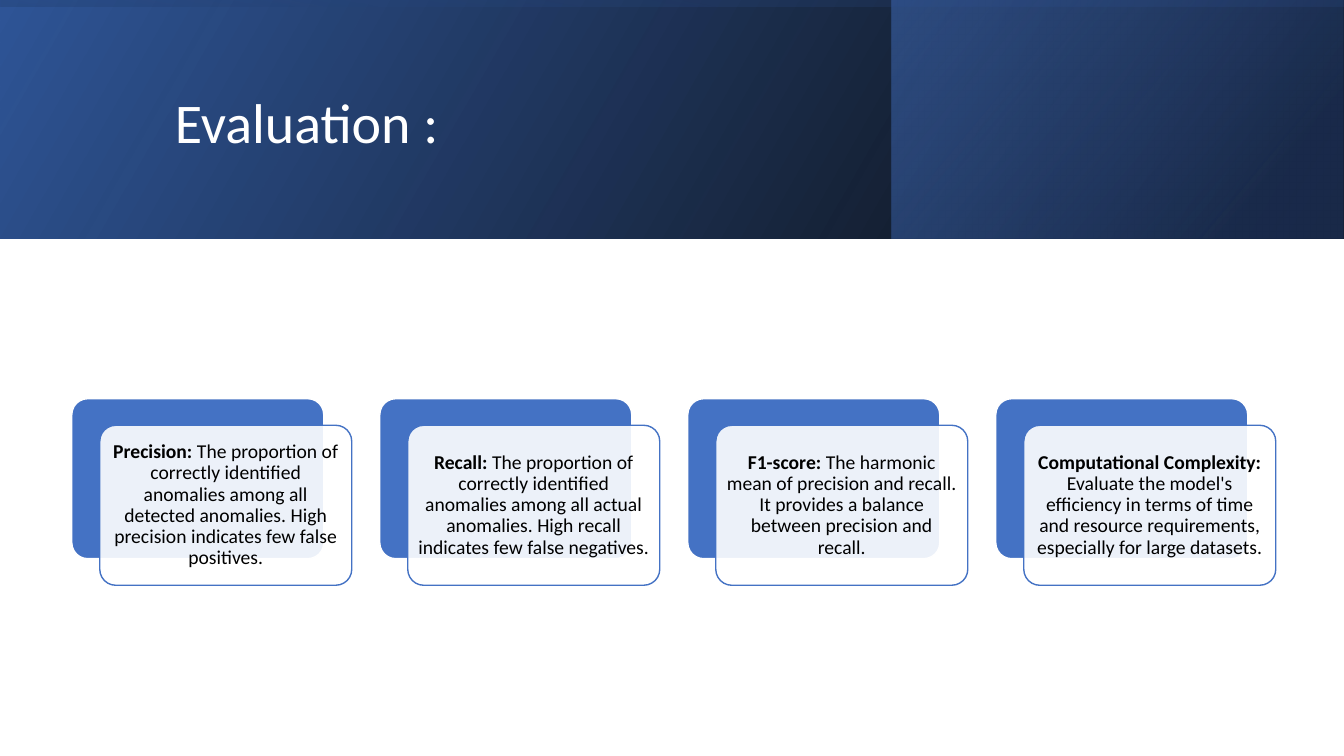
import pptx
import pptx.util
import pptx.dml.color
import pptx.enum.shapes
import pptx.enum.text
import pptx.oxml.ns
import lxml.etree

Pt = pptx.util.Pt
SHAPE = pptx.enum.shapes.MSO_SHAPE
ALIGN = pptx.enum.text.PP_ALIGN
MIDDLE = pptx.enum.text.MSO_ANCHOR.MIDDLE
qn = pptx.oxml.ns.qn

TITLE = "Evaluation :"
METRICS = [
    ("Precision: ", "The proportion of correctly identified anomalies among all detected anomalies. High precision indicates few false positives."),
    ("Recall: ", "The proportion of correctly identified anomalies among all actual anomalies. High recall indicates few false negatives."),
    ("F1-score: ", "The harmonic mean of precision and recall. It provides a balance between precision and recall."),
    ("Computational Complexity: ", "Evaluate the model's efficiency in terms of time and resource requirements, especially for large datasets."),
]
COLORS = {"white": "FFFFFF", "black": "000000", "blue": "4472C4",
          "deep": "2F5597", "navy": "203864"}
FONT = "Calibri"

SLIDE_W, SLIDE_H = 960, 540
BAND_H = 170.6
SIDE_X, SIDE_W = 636.8, 322.8
MID = (SLIDE_W - BAND_H) / 2
BANDS = [
    ((0, 0, SLIDE_W, BAND_H), 0, 330, [(0, "black", 96), (100, "deep", 100)]),
    ((SIDE_X, 0, SIDE_W, BAND_H), 0, 320, [(19, "navy", 68), (100, "blue", 48)]),
    ((MID, -MID, BAND_H, SLIDE_W), 270, 350, [(23, "deep", 16), (99, "black", 45)]),
]
CARD_X, CARD_Y, CARD_W, CARD_H = 51.3, 284.8, 180, 114.3
PITCH, OFFSET_X, OFFSET_Y = 220, 20, 19


def rgb(name):
    return pptx.dml.color.RGBColor.from_string(COLORS[name])


def set_alpha(color_el, percent):
    alpha = lxml.etree.SubElement(color_el, qn("a:alpha"))
    alpha.set("val", str(percent * 1000))


def add_shape(slide, kind, box):
    sp = slide.shapes.add_shape(kind, *[Pt(v) for v in box])
    sp.shadow.inherit = False
    return sp


def add_band(slide, box, rotation, angle, stops):
    sp = add_shape(slide, SHAPE.RECTANGLE, box)
    sp.rotation = rotation
    sp._element.spPr.find(qn("a:xfrm")).set("flipH", "1")
    sp.line.fill.background()
    sp.fill.gradient()
    sp.fill.gradient_angle = 360 - angle
    for stop, (position, color, alpha) in zip(sp.fill.gradient_stops, stops):
        stop.position = position / 100
        stop.color.rgb = rgb(color)
    colors = list(sp._element.spPr.iter(qn("a:srgbClr")))
    for el, (position, color, alpha) in zip(colors, stops):
        set_alpha(el, alpha)


def add_card(slide, x, y, fill, line):
    sp = add_shape(slide, SHAPE.ROUNDED_RECTANGLE, (x, y, CARD_W, CARD_H))
    sp.adjustments[0] = 0.1
    sp.fill.solid()
    sp.fill.fore_color.rgb = rgb(fill)
    sp.line.color.rgb = rgb(line)
    sp.line.width = Pt(1)
    return sp


def add_metric(slide, x, name, text):
    add_card(slide, x, CARD_Y, "blue", "white")
    sp = add_card(slide, x + OFFSET_X, CARD_Y + OFFSET_Y, "white", "blue")
    set_alpha(next(sp._element.spPr.iter(qn("a:srgbClr"))), 90)
    tf = sp.text_frame
    tf.word_wrap = True
    tf.vertical_anchor = MIDDLE
    tf.margin_left = tf.margin_right = tf.margin_top = tf.margin_bottom = Pt(4)
    p = tf.paragraphs[0]
    p.alignment = ALIGN.CENTER
    p.line_spacing = 0.9
    p.space_after = Pt(5)
    p.font.name = FONT
    p.font.size = Pt(14)
    p.font.color.rgb = rgb("black")
    for part, bold in ((name, True), (text, False)):
        r = p.add_run()
        r.text = part
        r.font.bold = bold
        r.font.color.rgb = rgb("black")


def add_title(slide):
    sp = slide.shapes.title
    sp.left, sp.top, sp.width, sp.height = Pt(108.7), Pt(27.4), Pt(765.4), Pt(123.8)
    slide.shapes._spTree.append(sp._element)
    tf = sp.text_frame
    tf.text = TITLE
    tf.word_wrap = True
    tf.vertical_anchor = MIDDLE
    tf.margin_left = Pt(16.2)
    p = tf.paragraphs[0]
    p.alignment = ALIGN.LEFT
    p.line_spacing = 0.9
    p.font.name = FONT
    p.font.size = Pt(40)
    p.font.color.rgb = rgb("white")


def main():
    prs = pptx.Presentation()
    prs.slide_width, prs.slide_height = Pt(SLIDE_W), Pt(SLIDE_H)
    slide = prs.slides.add_slide(prs.slide_layouts[5])
    for band in BANDS:
        add_band(slide, *band)
    add_title(slide)
    for i, (name, text) in enumerate(METRICS):
        add_metric(slide, CARD_X + i * PITCH, name, text)
    prs.save("out.pptx")


if __name__ == "__main__":
    main()
